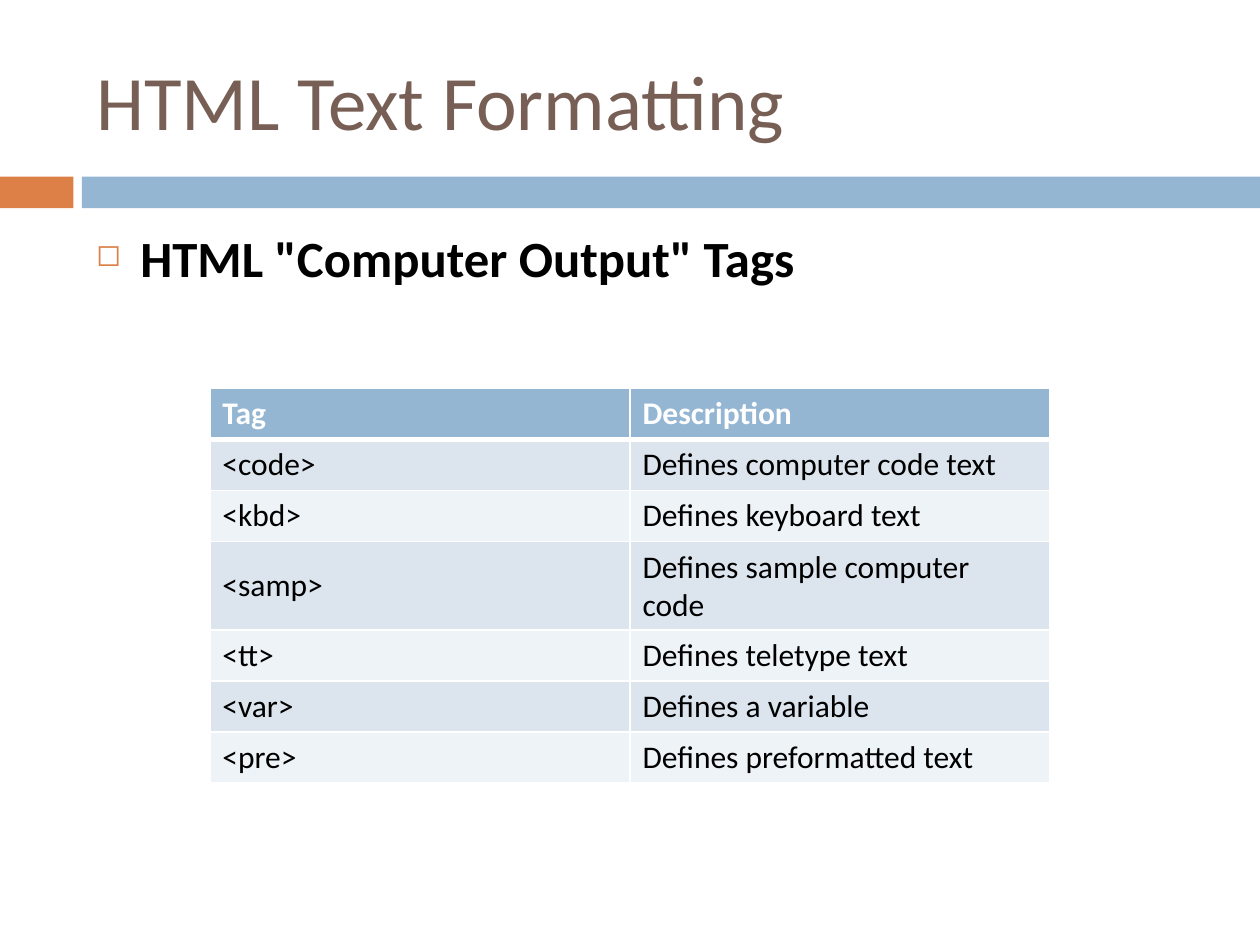
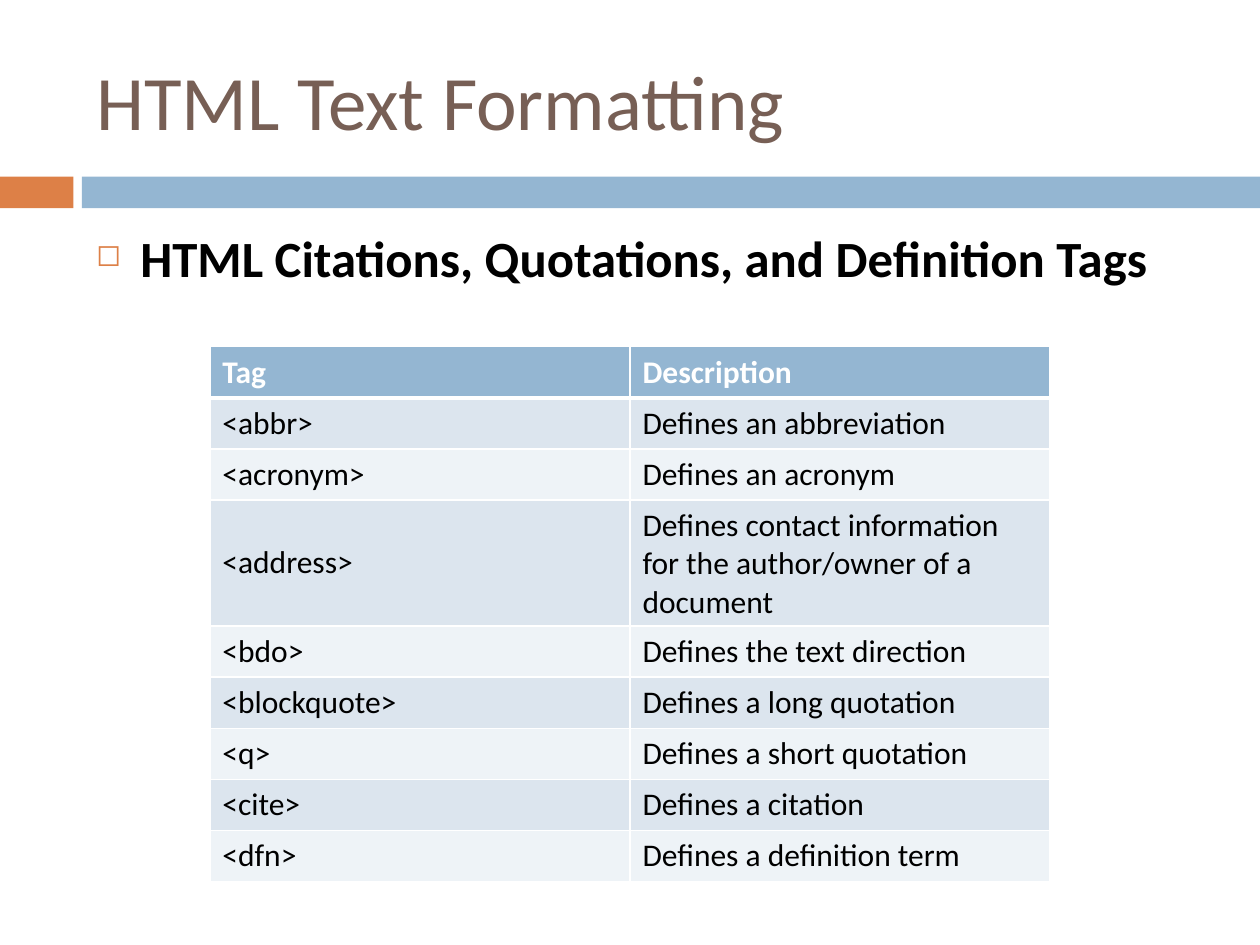
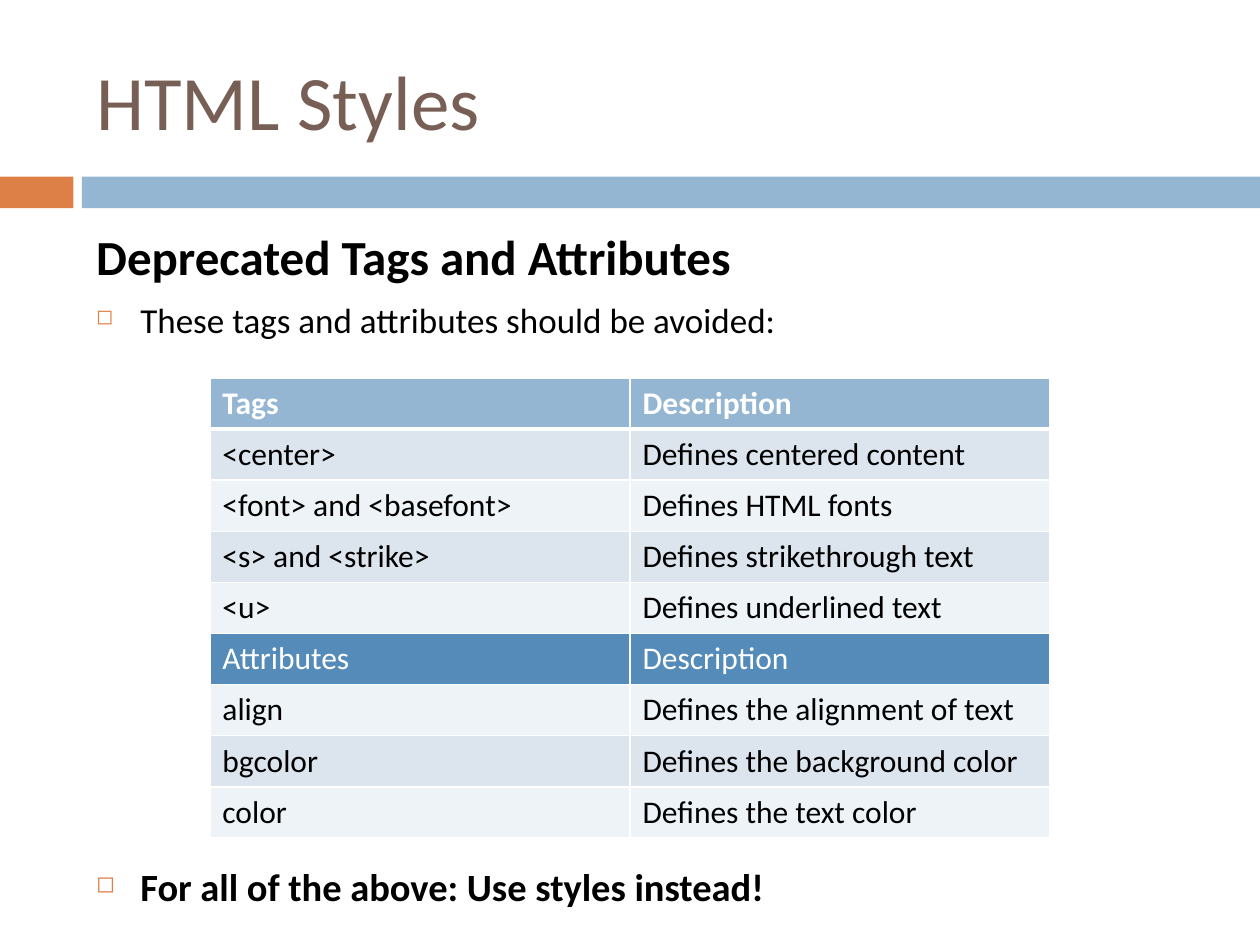
"""Builds three slides about HTML tags with a shared title, band and table style."""
import lxml.etree
import pptx
import pptx.dml.color
import pptx.enum.shapes
import pptx.enum.text
import pptx.oxml.ns
import pptx.util

Cm = pptx.util.Cm
Pt = pptx.util.Pt
qn = pptx.oxml.ns.qn


def color(value):
    """Return the RGB colour of a hex string."""
    return pptx.dml.color.RGBColor.from_string(value)


def add_element(parent, tag, **attributes):
    """Append a DrawingML element with its attributes."""
    return lxml.etree.SubElement(
        parent, qn("a:" + tag), {name: str(value) for name, value in attributes.items()})


class Deck:
    """Holds the style and the current slide."""

    FONT = "Calibri"
    WHITE, BLACK, BROWN = "FFFFFF", "000000", "775F55"
    ORANGE, BLUE, DARK_BLUE = "DD8047", "94B6D2", "558BB8"
    ROW_BANDS = ("EEF3F7", "DCE5EE")
    LEFT, WIDTH = Cm(1.69), Cm(22.66)
    BAND_TOP, BAND_HEIGHT = Cm(3.56), Cm(0.64)
    TABLE_LEFT, COLUMN_WIDTH, ROW_HEIGHT = Cm(4.23), Cm(8.47), Cm(1.03)
    INDENT = Cm(0.89)

    def __init__(self):
        """Start an empty presentation."""
        self.presentation = pptx.Presentation()
        self.presentation.slide_width = Cm(25.4)
        self.presentation.slide_height = Cm(19.05)
        self.slide = None

    def format_text(self, paragraph, text, text_color, **values):
        """Write a left-aligned run with the given font values."""
        paragraph.alignment = pptx.enum.text.PP_ALIGN.LEFT
        run = paragraph.add_run()
        run.text = text
        for name, value in {"name": self.FONT, **values}.items():
            setattr(run.font, name, value)
        run.font.color.rgb = color(text_color)

    def add_slide(self, title):
        """Add a slide with its bands and title."""
        self.slide = self.presentation.slides.add_slide(self.presentation.slide_layouts[5])
        self.add_band(0, Cm(1.48), self.ORANGE)
        band_left = Cm(1.65)
        self.add_band(band_left, self.presentation.slide_width - band_left, self.BLUE)
        shape = self.slide.shapes.title
        place = {"left": self.LEFT, "top": Cm(0.64), "width": self.WIDTH, "height": Cm(2.75)}
        for name, value in place.items():
            setattr(shape, name, value)
        shape.text_frame.vertical_anchor = pptx.enum.text.MSO_ANCHOR.MIDDLE
        self.format_text(shape.text_frame.paragraphs[0], title, self.BROWN, size=Pt(44))

    def add_band(self, left, width, fill):
        """Add a plain bar below the title."""
        shape = self.slide.shapes.add_shape(
            pptx.enum.shapes.MSO_SHAPE.RECTANGLE, left, self.BAND_TOP, width, self.BAND_HEIGHT)
        shape.shadow.inherit = False
        shape.fill.solid()
        shape.fill.fore_color.rgb = color(fill)
        shape.line.fill.background()

    def add_body(self, items, height=Cm(12.5)):
        """Add paragraphs given as text, size, bold, bullet and space before."""
        shape = self.slide.shapes.add_textbox(self.LEFT, Cm(4.45), self.WIDTH, height)
        frame = shape.text_frame
        frame.word_wrap = True
        for index, (text, size, bold, bullet, space) in enumerate(items):
            paragraph = frame.add_paragraph() if index else frame.paragraphs[0]
            self.format_text(paragraph, text, self.BLACK, size=Pt(size), bold=bold)
            paragraph.space_before = Pt(space)
            self.set_bullet(paragraph, bullet)

    def set_bullet(self, paragraph, bullet):
        """Set a hanging indent and, where wanted, the square bullet."""
        properties = paragraph._p.get_or_add_pPr()
        properties.set("marL", str(self.INDENT))
        properties.set("indent", str(-self.INDENT))
        if bullet:
            add_element(add_element(properties, "buClr"), "srgbClr", val=self.ORANGE)
            add_element(properties, "buSzPct", val=60000)
            add_element(properties, "buChar", char="\u25fb")
        else:
            add_element(properties, "buNone")

    def add_table(self, top, rows, subheader=None):
        """Add a banded two-column table, with an optional second header row."""
        columns = len(rows[0])
        table = self.slide.shapes.add_table(
            len(rows), columns, self.TABLE_LEFT, top,
            self.COLUMN_WIDTH * columns, self.ROW_HEIGHT * len(rows)).table
        for column in table.columns:
            column.width = self.COLUMN_WIDTH
        for index, texts in enumerate(rows):
            table.rows[index].height = self.ROW_HEIGHT
            fill, text_color = self.ROW_BANDS[index % 2], self.BLACK
            if index in (0, subheader):
                fill, text_color = self.DARK_BLUE if index else self.BLUE, self.WHITE
            for position, text in enumerate(texts):
                cell = table.cell(index, position)
                self.set_borders(cell, {"T": 3 if index == 1 else 1, "B": 1 if index else 3})
                cell.fill.solid()
                cell.fill.fore_color.rgb = color(fill)
                cell.vertical_anchor = pptx.enum.text.MSO_ANCHOR.MIDDLE
                self.format_text(cell.text_frame.paragraphs[0], text, text_color,
                                 size=Pt(18), bold=index == 0)

    def set_borders(self, cell, widths):
        """Give a cell white borders, one point wide unless stated."""
        properties = cell._tc.get_or_add_tcPr()
        for side in "LRTB":
            line = add_element(properties, "ln" + side, w=Pt(widths.get(side, 1)))
            add_element(add_element(line, "solidFill"), "srgbClr", val=self.WHITE)


deck = Deck()

deck.add_slide("HTML Text Formatting")
deck.add_body([('HTML "Computer Output" Tags', 29, True, True, 7)])
deck.add_table(Cm(7.83), [
    ("Tag", "Description"),
    ("<code>", "Defines computer code text"),
    ("<kbd>", "Defines keyboard text"),
    ("<samp>", "Defines sample computer code"),
    ("<tt>", "Defines teletype text"),
    ("<var>", "Defines a variable"),
    ("<pre>", "Defines preformatted text"),
])

deck.add_slide("HTML Text Formatting")
deck.add_body([("HTML Citations, Quotations, and Definition Tags", 29, True, True, 7)])
deck.add_table(Cm(6.99), [
    ("Tag", "Description"),
    ("<abbr>", "Defines an abbreviation"),
    ("<acronym>", "Defines an acronym"),
    ("<address>", "Defines contact information for the author/owner of a document"),
    ("<bdo>", "Defines the text direction"),
    ("<blockquote>", "Defines a long quotation"),
    ("<q>", "Defines a short quotation"),
    ("<cite>", "Defines a citation"),
    ("<dfn>", "Defines a definition term"),
])

deck.add_slide("HTML Styles")
deck.add_body([
    ("Deprecated Tags and Attributes", 28, True, False, 7),
    ("These tags and attributes should be avoided:", 20, False, True, 7),
    ("For all of the above: Use styles instead!", 22, True, True, 299),
], Cm(14.6))
deck.add_table(Cm(7.62), [
    ("Tags", "Description"),
    ("<center>", "Defines centered content"),
    ("<font> and <basefont>", "Defines HTML fonts"),
    ("<s> and <strike>", "Defines strikethrough text"),
    ("<u>", "Defines underlined text"),
    ("Attributes", "Description"),
    ("align", "Defines the alignment of text"),
    ("bgcolor", "Defines the background color"),
    ("color", "Defines the text color"),
], subheader=5)

deck.presentation.save("out.pptx")
